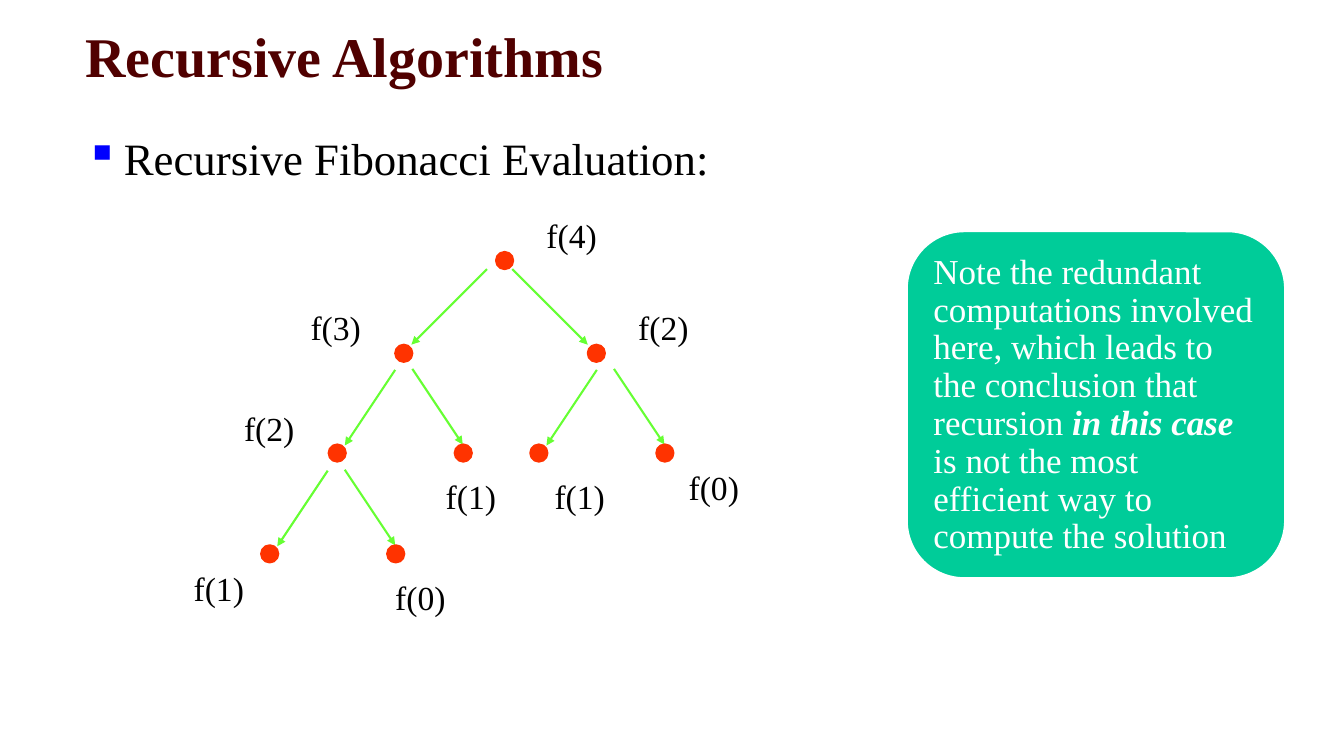
from pptx import Presentation
from pptx.dml.color import RGBColor as RGB
from pptx.enum.shapes import MSO_CONNECTOR as CONN, MSO_SHAPE as SHAPE
from pptx.enum.text import MSO_ANCHOR as ANCHOR, PP_ALIGN as ALIGN
from pptx.oxml.ns import qn
from pptx.util import Inches, Pt
from lxml.etree import SubElement

THEME = {
    "font": "Times New Roman",
    "title": {"size": 40, "color": "500000", "bold": True},
    "body": {"size": 32, "color": "000000"},
    "label": {"size": 24, "color": "000000"},
    "note": {"size": 25, "color": "FFFFFF"},
    "emphasis": {"size": 25, "color": "FFFFFF", "bold": True, "italic": True},
    "bullet": "0000FF", "node": "FF3300", "edge": "66FF33",
    "panel": "00CC99", "panel_line": "FFFFFF",
}

prs = Presentation()
prs.slide_width, prs.slide_height = Inches(13.33), Inches(7.5)
s = prs.slides.add_slide(prs.slide_layouts[6])


def add_text(box, runs, **frame):
    """Add a wrapping text box of (text, theme style) runs; return its paragraph."""
    tf = s.shapes.add_textbox(*map(Inches, box)).text_frame
    tf.word_wrap = True
    for name, value in frame.items():
        setattr(tf, name, value)
    p = tf.paragraphs[0]
    for text, style in runs:
        r = p.add_run()
        r.text = text
        r.font.name = THEME["font"]
        for name, value in THEME[style].items():
            if name == "color":
                r.font.color.rgb = RGB.from_string(value)
            else:
                setattr(r.font, name, Pt(value) if name == "size" else value)
    return p


def add_filled(kind, box, fill, line, width):
    """Add a flat preset shape with a solid fill and outline."""
    sp = s.shapes.add_shape(kind, *map(Inches, box))
    sp.shadow.inherit = False
    sp.fill.solid()
    sp.fill.fore_color.rgb = RGB.from_string(THEME[fill])
    sp.line.color.rgb = RGB.from_string(THEME[line])
    sp.line.width = Pt(width)


# Heading and bullet
add_text((0.75, 0.17, 9, 0.75), [("Recursive Algorithms", "title")],
         vertical_anchor=ANCHOR.MIDDLE)
p = add_text((0.75, 1.25, 9.58, 0.58), [("Recursive Fibonacci Evaluation:", "body")])
pPr = p._p.get_or_add_pPr()
pPr.set("marL", str(Inches(0.38)))
pPr.set("indent", str(Inches(-0.38)))
color = SubElement(pPr, qn("a:buClr"))
SubElement(color, qn("a:srgbClr"), val=THEME["bullet"])
SubElement(pPr, qn("a:buChar"), char="▪")

# Call tree edges: start x, start y, horizontal run (sign gives the side)
edges = [
    (4.83, 2.67, -0.75), (5.08, 2.67, 0.75),
    (3.92, 3.67, -0.5), (4.09, 3.66, 0.5),
    (5.92, 3.67, -0.5), (6.09, 3.66, 0.5),
    (3.25, 4.67, -0.5), (3.42, 4.66, 0.5),
]
DROP = 0.75
for x, y, run in edges:
    edge = s.shapes.add_connector(CONN.STRAIGHT, *map(Inches, (x, y, x + run, y + DROP)))
    edge.line.color.rgb = RGB.from_string(THEME["edge"])
    edge.line.width = Pt(1.5)
    SubElement(edge.line._ln, qn("a:tailEnd"), type="triangle")
    SubElement(edge._element.spPr, qn("a:effectLst"))

# Call tree nodes: argument, dot left and top, label left and top
DOT = 0.17
nodes = [
    (4, 4.92, 2.5, 5.17, 2.08),
    (3, 3.92, 3.42, 2.83, 3), (2, 5.83, 3.42, 6.08, 3),
    (2, 3.26, 4.41, 2.17, 4), (1, 4.51, 4.41, 4.17, 4.67),
    (1, 5.26, 4.41, 5.25, 4.67), (0, 6.51, 4.41, 6.58, 4.58),
    (1, 2.59, 5.41, 1.67, 5.58), (0, 3.84, 5.41, 3.67, 5.67),
]
for n, x, y, label_x, label_y in nodes:
    add_filled(SHAPE.FLOWCHART_CONNECTOR, (x, y, DOT, DOT), "node", "node", 1.5)
    p = add_text((label_x, label_y, 1, 0.51), [(f"f({n})", "label")])
    p.alignment = ALIGN.CENTER

# Note panel
add_filled(SHAPE.ROUNDED_RECTANGLE, (8.99, 2.29, 3.76, 3.45), "panel", "panel_line", 2)
p = add_text(
    (9.16, 2.46, 3.42, 3.12),
    [("Note the redundant computations involved here, which leads to "
      "the conclusion that recursion ", "note"),
     ("in this case ", "emphasis"),
     ("is not the most efficient way to compute the solution", "note")],
    vertical_anchor=ANCHOR.MIDDLE, margin_top=Inches(0.1), margin_bottom=Inches(0.1))
p.line_spacing = 0.9

prs.save("out.pptx")
